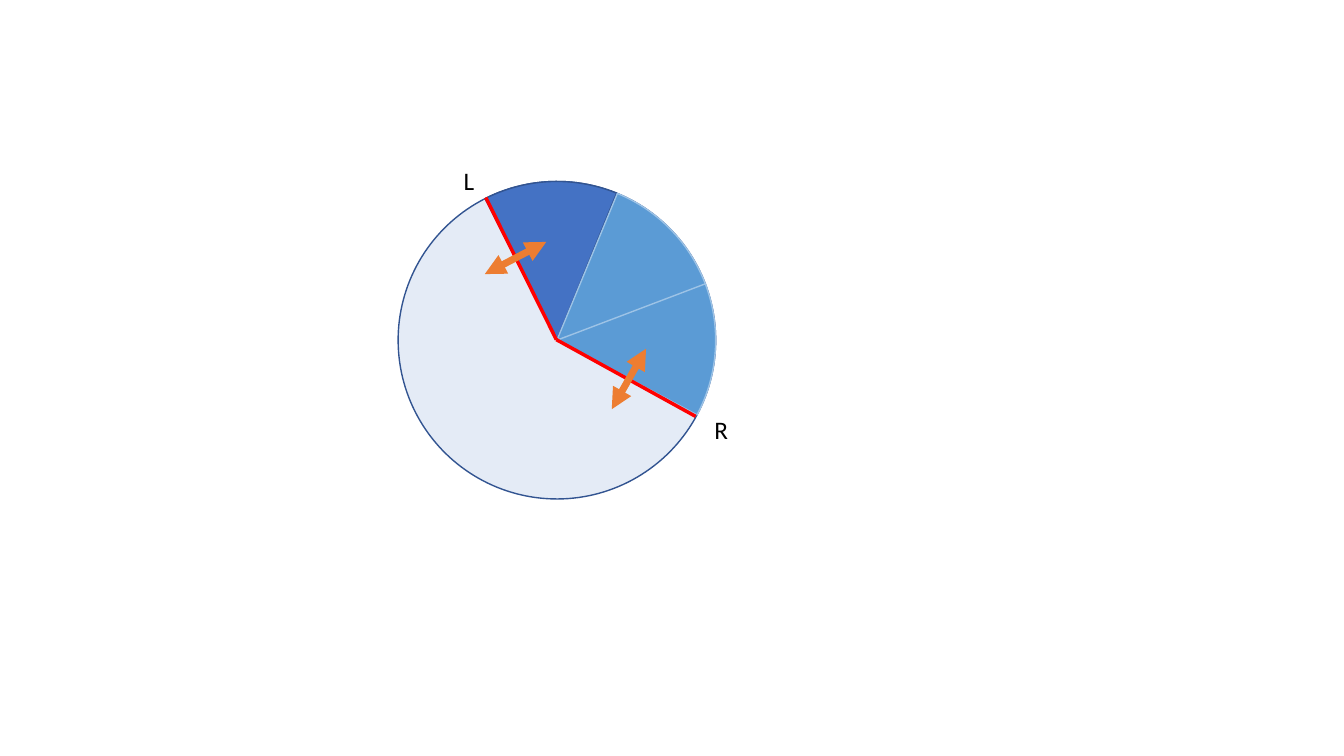
from dataclasses import dataclass

from lxml import etree
from pptx import Presentation
from pptx.dml.color import RGBColor
from pptx.enum.shapes import MSO_CONNECTOR, MSO_SHAPE
from pptx.enum.text import MSO_AUTO_SIZE
from pptx.oxml.ns import qn
from pptx.util import Pt

PIE = MSO_SHAPE.PIE
LINE = MSO_CONNECTOR.STRAIGHT
GROW = MSO_AUTO_SIZE.SHAPE_TO_FIT_TEXT


@dataclass(frozen=True)
class Theme:
    font: str = "Calibri"
    size: int = 18
    ink: str = "000000"
    dark: str = "4472C4"
    rim: str = "325491"
    sky: str = "5B9BD5"
    pale: str = "9DC3E6"
    red: str = "FF0000"
    gold: str = "ED7D31"


THEME = Theme()

# Circle, in points
LEFT, TOP, SIZE = 284.4, 129.6, 226.8
HUB = (397.4, 242.6)
TURN = 243.4  # angle of the left edge


def color(hue):
    return RGBColor.from_string(hue)


def wedge(slide, turn, start, end, fill, edge, alpha=100):
    """Draw one sector of the circle, angles in degrees."""
    pie = slide.shapes.add_shape(PIE, Pt(LEFT), Pt(TOP), Pt(SIZE), Pt(SIZE))
    pie.shadow.inherit = False
    pie.rotation = turn
    # An angle unit is 1/60000 degree; an adjustment unit is 100000 of them
    pie.adjustments[0] = start * 0.6
    pie.adjustments[1] = end * 0.6
    pie.fill.solid()
    pie.fill.fore_color.rgb = color(fill)
    pie.line.color.rgb = color(edge)
    pie.line.width = Pt(1)
    if alpha < 100:
        tint = pie._element.spPr.find(qn("a:solidFill"))[0]
        etree.SubElement(tint, qn("a:alpha"), val=str(alpha * 1000))


def stroke(slide, start, end, hue, width, heads=False):
    """Draw a straight line, with arrowheads at both ends if wanted."""
    line = slide.shapes.add_connector(LINE, *map(Pt, start + end))
    line.line.color.rgb = color(hue)
    line.line.width = Pt(width)
    props = line._element.spPr
    if heads:
        for tag in ("a:headEnd", "a:tailEnd"):
            etree.SubElement(props.find(qn("a:ln")), qn(tag), type="triangle")
    etree.SubElement(props, qn("a:effectLst"))


def label(slide, text, left, top, width):
    box = slide.shapes.add_textbox(Pt(left), Pt(top), Pt(width), Pt(28.8))
    frame = box.text_frame
    frame.word_wrap = False
    frame.auto_size = GROW
    para = frame.paragraphs[0]
    para.text = text
    para.font.name = THEME.font
    para.font.size = Pt(THEME.size)
    para.font.color.rgb = color(THEME.ink)


def main():
    deck = Presentation()
    deck.slide_width, deck.slide_height = Pt(960), Pt(540)
    slide = deck.slides.add_slide(deck.slide_layouts[6])

    # Whole circle and dark sector
    wedge(slide, TURN, 0, 359.71, THEME.dark, THEME.rim, alpha=14)
    wedge(slide, TURN, 0, 48.7, THEME.dark, THEME.rim)

    # Edge names
    label(slide, "L", 324, 114.5, 22.3)
    label(slide, "R", 503.3, 292.3, 24.5)

    # Equal sectors on the right
    for turn in (TURN, TURN + 46.8):
        wedge(slide, turn, 48.99, 97.85, THEME.sky, THEME.pale)

    # Edges
    for rim in ((347, 141.1), (496.8, 297.4)):
        stroke(slide, rim, HUB, THEME.red, 2.5)

    # Arrows across the edges
    for start, end in (((346.3, 195.8), (390.2, 172.8)),
                       ((461.5, 249.1), (437, 292.3))):
        stroke(slide, start, end, THEME.gold, 5, heads=True)

    deck.save("out.pptx")


if __name__ == "__main__":
    main()
